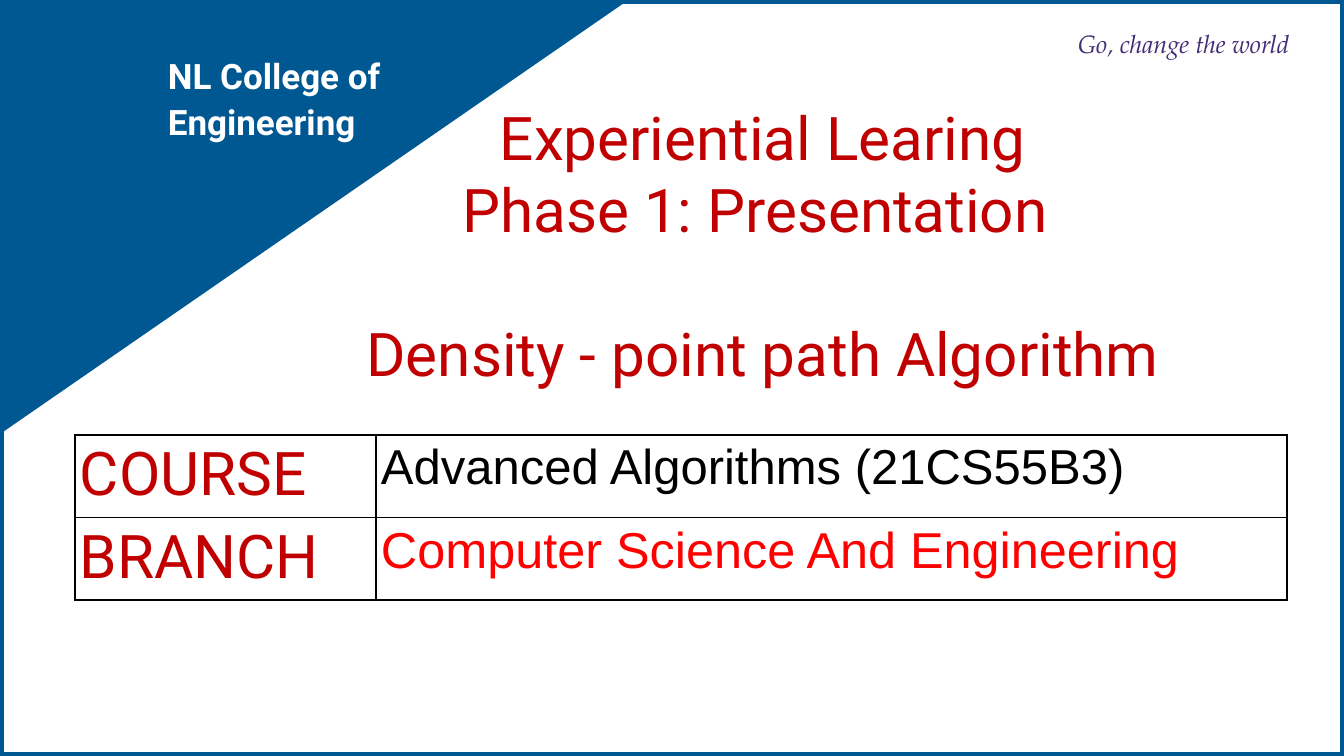
from lxml.etree import SubElement
from pptx import Presentation
from pptx.dml.color import RGBColor
from pptx.enum.shapes import MSO_SHAPE as Preset
from pptx.enum.text import MSO_ANCHOR as Anchor, MSO_AUTO_SIZE as AutoSize, PP_ALIGN as Align
from pptx.oxml.ns import qn
from pptx.util import Emu, Pt

BLUE = RGBColor(0x00, 0x58, 0x93)
CRIMSON = RGBColor(0xC0, 0x00, 0x00)
RED = RGBColor(0xFF, 0x00, 0x00)
PURPLE = RGBColor(0x42, 0x2C, 0x75)
WHITE = RGBColor(0xFF, 0xFF, 0xFF)
BLACK = RGBColor(0x00, 0x00, 0x00)
EMU_PER_PX = 9071.43
TITLE_SIZE = 43


def px(length):
    """Turn a length in px into EMU."""
    return Emu(round(length * EMU_PER_PX))


def write(para, text, *, size, color, font="Roboto", bold=False, italic=False,
          align=Align.LEFT, before=0, spacing=1.0):
    """Write one formatted span into a paragraph."""
    span = para.add_run()
    span.text = text
    span.font.name, span.font.size = font, Pt(size)
    span.font.bold, span.font.italic = bold, italic
    span.font.color.rgb = color
    para.alignment = align
    para.space_before = Pt(before)
    para.line_spacing = spacing


def prepare_frame(shape):
    """Give a text shape no margins, a top anchor and wrapping."""
    frame = shape.text_frame
    frame.margin_left = frame.margin_top = frame.margin_right = frame.margin_bottom = 0
    frame.vertical_anchor = Anchor.TOP
    frame.auto_size = AutoSize.NONE
    frame.word_wrap = True
    return frame


def add_text(page, box, lines, **style):
    """Place a text box with one paragraph for each line."""
    frame = prepare_frame(page.shapes.add_textbox(*map(px, box)))
    for index, line in enumerate(lines):
        para = frame.add_paragraph() if index else frame.paragraphs[0]
        write(para, line, **style)


def add_border(page, box):
    """Draw the white page panel with its blue outline."""
    panel = page.shapes.add_shape(Preset.RECTANGLE, *map(px, box))
    panel.shadow.inherit = False
    panel.fill.solid()
    panel.fill.fore_color.rgb = WHITE
    panel.line.color.rgb = BLUE
    panel.line.width = Pt(6)


def add_title(page, box):
    """Move the title placeholder above the panel and fill in its lines."""
    title = page.shapes.title
    page.shapes.element.append(title.element)
    title.left, title.top, title.width, title.height = map(px, box)
    frame = prepare_frame(title)
    lines = [("Experiential Learing", 0), ("Phase 1: Presentation ", 0),
             ("Density - point path Algorithm", 51)]
    for index, (line, before) in enumerate(lines):
        para = frame.add_paragraph() if index else frame.paragraphs[0]
        write(para, line, size=TITLE_SIZE, color=CRIMSON, align=Align.CENTER, before=before)


def add_corner(page, box):
    """Draw the blue corner triangle with the college name in it."""
    left, top, width, height = box
    builder = page.shapes.build_freeform(left + width, top, scale=EMU_PER_PX)
    builder.add_line_segments([(left, top), (left, top + height)], close=True)
    corner = builder.convert_to_shape()
    corner.shadow.inherit = False
    corner.fill.solid()
    corner.fill.fore_color.rgb = BLUE
    corner.line.fill.background()
    add_text(page, (left + 168, top + 49, 255, 88), ["NL College of", "Engineering"],
             size=25, color=WHITE, bold=True, spacing=1.1)


def add_cell_borders(cell):
    """Outline a table cell with thin black lines."""
    properties = cell._tc.get_or_add_tcPr()
    for side in ("a:lnL", "a:lnR", "a:lnT", "a:lnB"):
        line = SubElement(properties, qn(side), w=str(Pt(1)))
        fill = SubElement(line, qn("a:solidFill"))
        SubElement(fill, qn("a:srgbClr"), val=str(BLACK))


def add_course_table(page, box):
    """Place the table of course and branch."""
    rows = [[("COURSE", TITLE_SIZE, CRIMSON, "Roboto"),
             ("Advanced Algorithms (21CS55B3)", 35, BLACK, "Arial")],
            [("BRANCH", TITLE_SIZE, CRIMSON, "Roboto"),
             ("Computer Science And Engineering", 36, RED, "Arial")]]
    label_width = 301
    table = page.shapes.add_table(len(rows), 2, *map(px, box)).table
    table.first_row = table.horz_banding = False
    table.columns[0].width = px(label_width)
    table.columns[1].width = px(box[2] - label_width)
    for row_index, row in enumerate(rows):
        for column_index, (text, size, color, font) in enumerate(row):
            cell = table.cell(row_index, column_index)
            cell.margin_left = cell.margin_top = cell.margin_right = cell.margin_bottom = px(5)
            add_cell_borders(cell)
            cell.fill.background()
            write(cell.text_frame.paragraphs[0], text, size=size, color=color, font=font)


def main():
    """Build the deck and save it."""
    deck = Presentation()
    deck.slide_width, deck.slide_height = px(1344), px(756)
    page = deck.slides.add_slide(deck.slide_layouts.get_by_name("Title Only"))
    add_border(page, (0, 0, 1344, 756))
    add_title(page, (220, 100, 1085, 350))
    add_corner(page, (0, 1, 627, 433))
    add_text(page, (1078, 28, 228, 61), ["Go, change the world"],
             size=18, color=PURPLE, font="TeX Gyre Pagella", italic=True)
    add_course_table(page, (75, 435, 1212, 165))
    deck.save("out.pptx")


if __name__ == "__main__":
    main()
